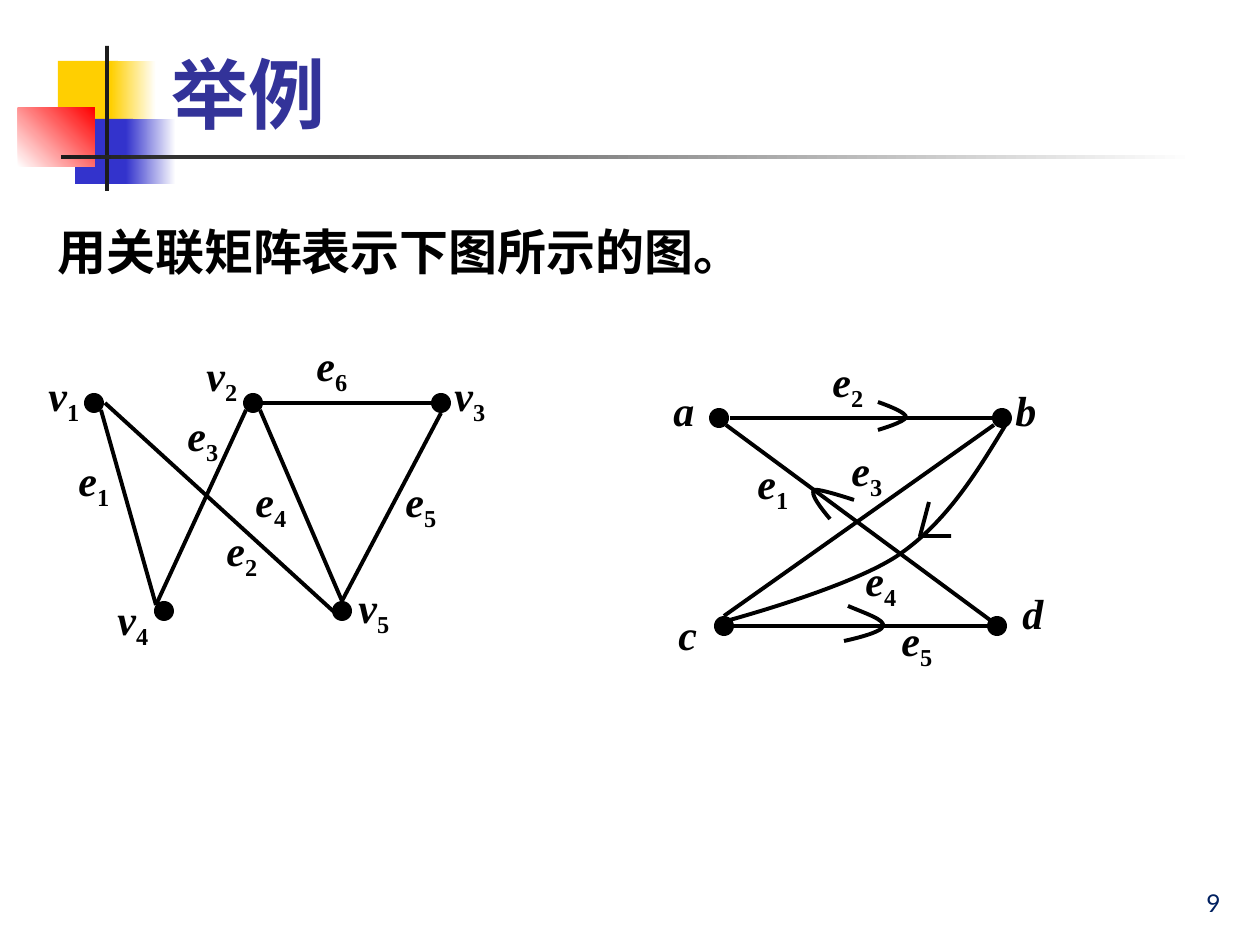
from dataclasses import dataclass
from typing import NamedTuple

from lxml.etree import Element, SubElement
from pptx import Presentation
from pptx.dml.color import RGBColor as Rgb
from pptx.enum.shapes import MSO_CONNECTOR as Link, MSO_SHAPE as Form
from pptx.enum.text import MSO_ANCHOR as Anchor, MSO_AUTO_SIZE as Fit, PP_ALIGN as Align
from pptx.oxml.ns import qn
from pptx.util import Pt

SCALE = 914400 / 126
RADIUS = 10


@dataclass(frozen=True)
class Theme:
    ink: str = "000000"
    paper: str = "FFFFFF"
    gold: str = "FFCF01"
    blue: str = "3333CC"
    red: str = "FF0000"
    rule: str = "1C1C1C"
    title: str = "333399"
    page: str = "002060"
    sans: str = "Lato"
    serif: str = "Times New Roman"
    title_pt: int = 44
    body_pt: int = 28
    label_pt: int = 24
    page_pt: int = 14
    line_pt: float = 2.25


THEME = Theme()


class Point(NamedTuple):
    x: int
    y: int


class Box(NamedTuple):
    x: int
    y: int
    w: int
    h: int


class Block(NamedTuple):
    box: Box
    start: str
    end: str = ""
    angle: int = 0


class Label(NamedTuple):
    x: int
    y: int
    name: str
    sub: str = ""


class Edge(NamedTuple):
    x1: int
    y1: int
    x2: int
    y2: int


@dataclass(frozen=True)
class Graph:
    nodes: list[Point]
    edges: list[Edge]
    labels: list[Label]
    curves: list[list[Point]]
    bends: list[list[Point]]


def emu(px: float) -> int:
    return round(px * SCALE)


def place(box: Box) -> list[int]:
    return [emu(n) for n in box]


def add_block(shapes, block: Block, form=Form.RECTANGLE) -> None:
    """Draw a borderless shape, shaded when it has an end colour."""
    shape = shapes.add_shape(form, *place(block.box))
    shape.shadow.inherit = False
    shape.line.fill.background()
    if block.end:
        shape.fill.gradient()
        shape.fill.gradient_angle = block.angle
        for stop, tint in zip(shape.fill.gradient_stops, (block.start, block.end)):
            stop.color.rgb = Rgb.from_string(tint)
    else:
        shape.fill.solid()
        shape.fill.fore_color.rgb = Rgb.from_string(block.start)


def add_frame(shapes, box: Box, anchor=Anchor.TOP, wrap: bool = True):
    frame = shapes.add_textbox(*place(box)).text_frame
    frame.word_wrap = wrap
    frame.vertical_anchor = anchor
    return frame


def add_run(para, text: str, size: int, face: str, tint: str,
            bold: bool = True, slant: bool = False):
    run = para.add_run()
    run.text = text
    font = run.font
    font.size, font.name, font.bold, font.italic = Pt(size), face, bold, slant
    font.color.rgb = Rgb.from_string(tint)
    return run


def cast(run) -> None:
    """Give the run a slight text shadow."""
    effects = Element(qn("a:effectLst"))
    shade = SubElement(effects, qn("a:outerShdw"), dist="12700", dir="2700000")
    SubElement(shade, qn("a:srgbClr"), val=THEME.ink)
    run.font._element.find(qn("a:solidFill")).addnext(effects)


def add_label(shapes, label: Label) -> None:
    box = Box(label.x, label.y, 58 if label.sub else 46, 63)
    frame = add_frame(shapes, box, wrap=False)
    frame.auto_size = Fit.SHAPE_TO_FIT_TEXT
    para = frame.paragraphs[0]
    style = (THEME.label_pt, THEME.serif, THEME.ink)
    add_run(para, label.name, *style, slant=True)
    if label.sub:
        run = add_run(para, label.sub, *style)
        run.font._element.set("baseline", "-25000")


def stroke(shape) -> None:
    shape.line.color.rgb = Rgb.from_string(THEME.ink)
    shape.line.width = Pt(THEME.line_pt)


def add_edge(shapes, edge: Edge) -> None:
    line = shapes.add_connector(Link.STRAIGHT, *[emu(n) for n in edge])
    stroke(line)
    SubElement(line._element.spPr, qn("a:effectLst"))


def add_path(shapes, points: list[Point]):
    first, *rest = [(emu(p.x), emu(p.y)) for p in points]
    pen = shapes.build_freeform(*first)
    pen.add_line_segments(rest, close=False)
    shape = pen.convert_to_shape()
    shape.shadow.inherit = False
    shape.fill.background()
    stroke(shape)
    return shape


def bend(shape) -> None:
    """Join every three line segments into one cubic curve."""
    lines = list(shape._element.iter(qn("a:lnTo")))
    for i in range(0, len(lines), 3):
        curve = Element(qn("a:cubicBezTo"))
        lines[i].addprevious(curve)
        for line in lines[i:i + 3]:
            curve.append(line[0])
            line.getparent().remove(line)


def add_graph(slide, graph: Graph) -> None:
    shapes = slide.shapes.add_group_shape().shapes
    for x, y in graph.nodes:
        dot = Box(x - RADIUS, y - RADIUS, 2 * RADIUS, 2 * RADIUS)
        add_block(shapes, Block(dot, THEME.ink), Form.OVAL)
    for edge in graph.edges:
        add_edge(shapes, edge)
    for label in graph.labels:
        add_label(shapes, label)
    for points in graph.curves:
        bend(add_path(shapes, points))
    for points in graph.bends:
        add_path(shapes, points)


def chain(*pairs: tuple[int, int]) -> list[Point]:
    return [Point(*pair) for pair in pairs]


BLOCKS = [
    Block(Box(58, 61, 60, 65), THEME.gold),
    Block(Box(111, 61, 45, 65), THEME.gold, THEME.paper),
    Block(Box(75, 119, 58, 65), THEME.blue),
    Block(Box(126, 119, 50, 65), THEME.blue, THEME.paper),
    Block(Box(18, 108, 77, 59), THEME.paper, THEME.red, 45),
    Block(Box(105, 46, 4, 145), THEME.rule),
    Block(Box(61, 155, 1134, 4), THEME.rule, THEME.paper),
]
PLAIN = Graph(
    chain((94, 403), (253, 403), (441, 403), (164, 611), (342, 611)),
    [Edge(101, 410, 156, 605), Edge(105, 403, 333, 611), Edge(156, 605, 246, 410),
     Edge(260, 410, 342, 601), Edge(342, 601, 441, 413), Edge(263, 403, 431, 403)],
    [Label(36, 363, "v", "1"), Label(194, 343, "v", "2"), Label(442, 363, "v", "3"),
     Label(105, 587, "v", "4"), Label(346, 575, "v", "5"), Label(66, 448, "e", "1"),
     Label(214, 518, "e", "2"), Label(175, 403, "e", "3"), Label(243, 469, "e", "4"),
     Label(393, 469, "e", "5"), Label(304, 333, "e", "6")],
    [], [])
DIRECTED = Graph(
    chain((719, 418), (1002, 418), (724, 626), (997, 626)),
    [Edge(987, 626, 733, 626), Edge(724, 616, 994, 425),
     Edge(726, 425, 990, 620), Edge(730, 418, 992, 418)],
    [Label(661, 378, "a"), Label(1003, 378, "b"), Label(666, 602, "c"),
     Label(1010, 581, "d"), Label(745, 451, "e", "1"), Label(820, 349, "e", "2"),
     Label(839, 438, "e", "3"), Label(853, 548, "e", "4"), Label(889, 608, "e", "5")],
    [chain((1005, 426), (976, 474), (946, 522), (900, 554), (853, 587), (726, 621), (726, 621)),
     chain((878, 402), (892, 407), (906, 413), (906, 417), (906, 422), (878, 430), (878, 430)),
     chain((830, 519), (820, 507), (810, 494), (814, 490), (818, 488), (854, 500), (854, 500)),
     chain((848, 606), (867, 614), (885, 620), (883, 626), (883, 633), (844, 641), (844, 641))],
    [chain((929, 502), (920, 536), (951, 536))])


def main() -> None:
    deck = Presentation()
    deck.slide_width, deck.slide_height = emu(1260), emu(945)
    slide = deck.slides.add_slide(deck.slide_layouts[6])
    shapes = slide.shapes
    for block in BLOCKS:
        add_block(shapes, block)
    head = add_frame(shapes, Box(159, 10, 1074, 135), Anchor.BOTTOM).paragraphs[0]
    cast(add_run(head, "举例", THEME.title_pt, THEME.sans, THEME.title))
    body = add_frame(shapes, Box(45, 209, 1171, 115)).paragraphs[0]
    body.line_spacing = 1.1
    add_run(body, "用关联矩阵表示下图所示的图。", THEME.body_pt, THEME.serif, THEME.ink)
    for graph in (PLAIN, DIRECTED):
        add_graph(slide, graph)
    page = add_frame(shapes, Box(971, 861, 262, 63), Anchor.BOTTOM).paragraphs[0]
    page.alignment = Align.RIGHT
    add_run(page, "9", THEME.page_pt, THEME.sans, THEME.page, bold=False)
    deck.save("out.pptx")


if __name__ == "__main__":
    main()
